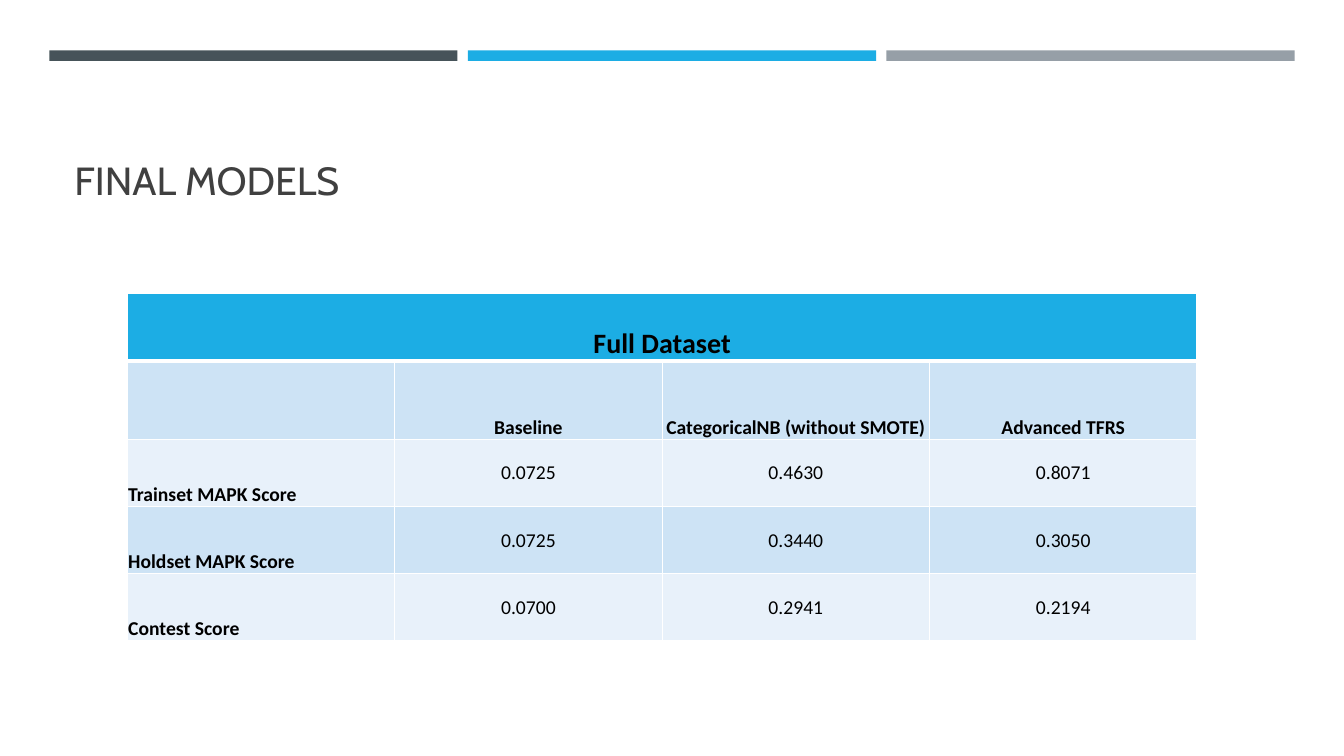
import pptx
import pptx.dml.color
import pptx.enum.shapes
import pptx.enum.text
import pptx.oxml
import pptx.oxml.ns
import pptx.util

Pt = pptx.util.Pt
RGBColor = pptx.dml.color.RGBColor
Align = pptx.enum.text.PP_ALIGN
Anchor = pptx.enum.text.MSO_ANCHOR

SLATE = RGBColor(0x46, 0x53, 0x59)
BLUE = RGBColor(0x1C, 0xAD, 0xE4)
GREY = RGBColor(0x96, 0x9F, 0xA7)
CHARCOAL = RGBColor(0x40, 0x40, 0x40)
BLACK = RGBColor(0x00, 0x00, 0x00)
WHITE = RGBColor(0xFF, 0xFF, 0xFF)
BAND_DARK = RGBColor(0xCD, 0xE3, 0xF5)
BAND_LIGHT = RGBColor(0xE8, 0xF1, 0xFA)

SCORES = [
    ["Full Dataset", "", "", ""],
    ["", "Baseline", "CategoricalNB (without SMOTE)", "Advanced TFRS"],
    ["Trainset MAPK Score", "0.0725", "0.4630", "0.8071"],
    ["Holdset MAPK Score", "0.0725", "0.3440", "0.3050"],
    ["Contest Score", "0.0700", "0.2941", "0.2194"],
]
ROW_HEIGHTS = [48, 56, 48, 48, 48]
COLUMN_WIDTH = 191


class SlideBuilder:
    """Holds the style and the current slide."""

    heading = {"name": "Cabin", "size": Pt(28), "bold": False}
    body = {"name": "Calibri", "size": Pt(14), "bold": False}
    table_title = {"name": "Calibri", "size": Pt(20), "bold": True}

    def __init__(self, deck):
        self.page = deck.slides.add_slide(deck.slide_layouts[5])

    def add_text(self, frame, text, style, color, align):
        para = frame.paragraphs[0]
        para.alignment = align
        span = para.add_run()
        span.text = text
        for key, value in style.items():
            setattr(span.font, key, value)
        span.font.color.rgb = color

    def title(self, text, left, top, width, height):
        box = self.page.shapes.title
        box.left, box.top, box.width, box.height = map(Pt, (left, top, width, height))
        frame = box.text_frame
        frame.auto_size = pptx.enum.text.MSO_AUTO_SIZE.NONE
        frame.vertical_anchor = Anchor.BOTTOM
        self.add_text(frame, text, self.heading, CHARCOAL, Align.LEFT)

    def bar(self, color, left, top, width, height):
        shape = self.page.shapes.add_shape(
            pptx.enum.shapes.MSO_SHAPE.RECTANGLE, *map(Pt, (left, top, width, height)))
        shape.shadow.inherit = False
        shape.fill.solid()
        shape.fill.fore_color.rgb = color
        shape.line.fill.background()

    def borders(self, cell, widths):
        """Border widths run left, right, top, bottom, ahead of the cell fill."""
        properties = cell._tc.get_or_add_tcPr()
        for index, (side, width) in enumerate(zip("LRTB", widths)):
            line = pptx.oxml.parse_xml(
                f'<a:ln{side} {pptx.oxml.ns.nsdecls("a")} w="{Pt(width)}"><a:solidFill>'
                f'<a:srgbClr val="{WHITE}"/></a:solidFill></a:ln{side}>')
            properties.insert(index, line)

    def cell(self, cell, text, style, fill, align, anchor):
        cell.margin_left = cell.margin_right = cell.margin_top = Pt(0.6)
        cell.margin_bottom = Pt(0)
        cell.vertical_anchor = anchor
        cell.fill.solid()
        cell.fill.fore_color.rgb = fill
        if text:
            self.add_text(cell.text_frame, text, style, BLACK, align)

    def score_table(self, rows, left, top):
        columns = len(rows[0])
        table = self.page.shapes.add_table(
            len(rows), columns, Pt(left), Pt(top),
            Pt(COLUMN_WIDTH * columns), Pt(sum(ROW_HEIGHTS))).table
        for column in table.columns:
            column.width = Pt(COLUMN_WIDTH)
        for r, values in enumerate(rows):
            table.rows[r].height = Pt(ROW_HEIGHTS[r])
            fill = BLUE if r == 0 else (BAND_LIGHT, BAND_DARK)[r % 2]
            for c, text in enumerate(values):
                label = r < 2 or c == 0
                style = self.table_title if r == 0 else {**self.body, "bold": label}
                align = Align.LEFT if r > 1 and c == 0 else Align.CENTER
                anchor = Anchor.BOTTOM if label else Anchor.MIDDLE
                cell = table.cell(r, c)
                self.cell(cell, text, style, fill, align, anchor)
                self.borders(cell, (1, 1, 3 if r == 1 else 1, 3 if r == 0 else 1))
        table.cell(0, 0).merge(table.cell(0, columns - 1))


def main():
    deck = pptx.Presentation()
    deck.slide_width, deck.slide_height = Pt(960), Pt(540)
    slide = SlideBuilder(deck)

    # Accent bars across the top
    for index, color in enumerate((SLATE, BLUE, GREY)):
        slide.bar(color, 35.2 + index * 299, 36, 291.6, 7.5)

    # Title
    slide.title("FINAL MODELS", 46, 55.5, 868, 93.5)

    # Model scores
    slide.score_table(SCORES, 91, 209.75)

    deck.save("out.pptx")


if __name__ == "__main__":
    main()
